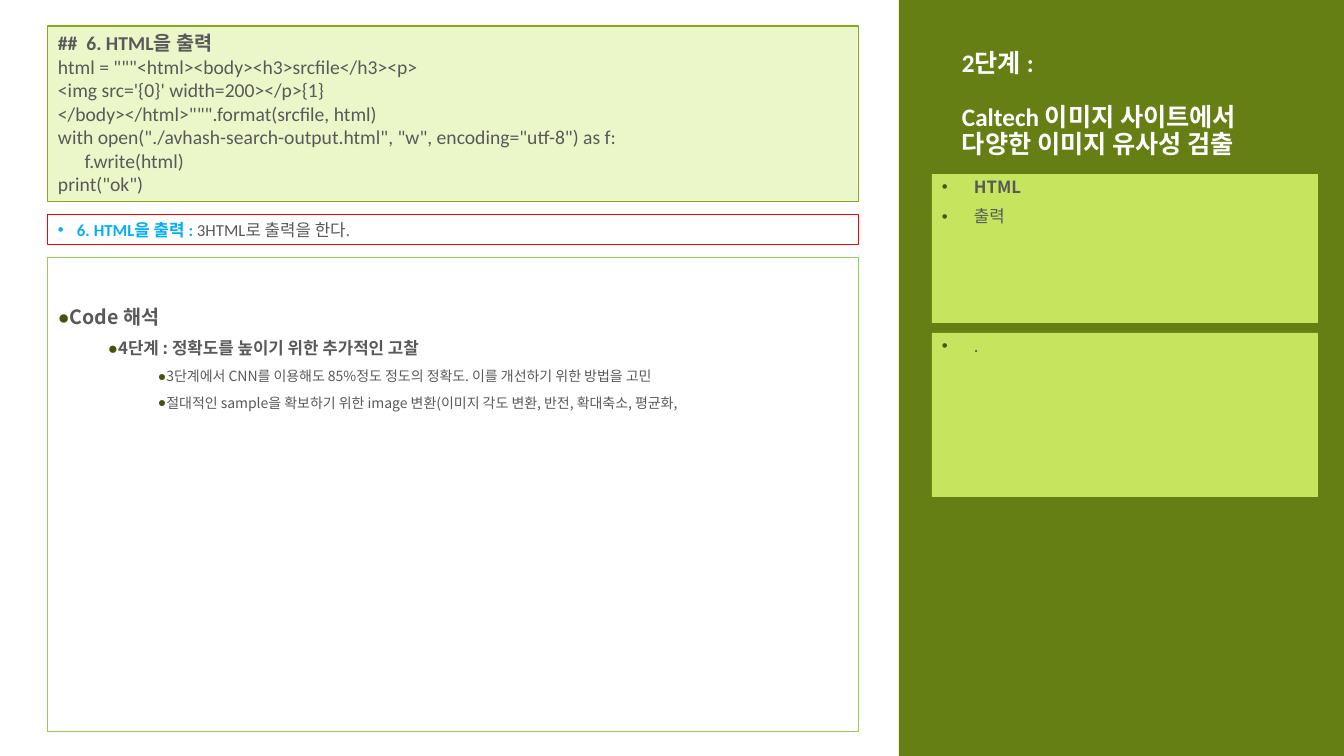
from dataclasses import dataclass

from lxml.etree import SubElement
from pptx import Presentation
from pptx.dml.color import RGBColor
from pptx.enum.shapes import MSO_SHAPE
from pptx.enum.text import MSO_ANCHOR, PP_ALIGN
from pptx.oxml.ns import qn
from pptx.util import Pt

EMU_PER_PX = 914400 / 100.8


@dataclass(frozen=True)
class Theme:
    olive: str = "657F14"
    lime: str = "C4E55D"
    pale: str = "EBF6C9"
    moss: str = "87A91B"
    green: str = "92D050"
    red: str = "FF0000"
    sky: str = "00B0F0"
    white: str = "FFFFFF"
    gray: str = "595959"
    bullet: str = "43540D"
    latin: str = "Calibri"
    korean: str = "Noto Sans CJK KR"
    title: int = 18
    heading: int = 14
    body: int = 12
    detail: int = 10


THEME = Theme()


def px(length):
    return round(length * EMU_PER_PX)


def set_all(target, values):
    for name, value in values.items():
        setattr(target, name, value)


def add_panel(page, place, fill=None, edge=None, top_inset=5, anchor=MSO_ANCHOR.TOP):
    panel = page.shapes.add_shape(MSO_SHAPE.RECTANGLE, *map(px, place))
    panel.shadow.inherit = False
    if fill:
        panel.fill.solid()
        panel.fill.fore_color.rgb = RGBColor.from_string(fill)
    else:
        panel.fill.background()
    if edge:
        panel.line.color.rgb = RGBColor.from_string(edge)
        panel.line.width = Pt(0.75)
    else:
        panel.line.fill.background()
    set_all(panel.text_frame, {
        "word_wrap": True, "vertical_anchor": anchor,
        "margin_left": px(10), "margin_right": px(10),
        "margin_top": px(top_inset), "margin_bottom": px(5),
    })
    return panel.text_frame


def add_bullet(para, symbol, color, left, hanging):
    properties = para._p.get_or_add_pPr()
    properties.set("marL", str(px(left)))
    properties.set("indent", str(px(-hanging)))
    tint = SubElement(properties, qn("a:buClr"))
    SubElement(tint, qn("a:srgbClr")).set("val", color)
    SubElement(properties, qn("a:buFont")).set("typeface", "Arial")
    SubElement(properties, qn("a:buChar")).set("char", symbol)


def add_para(frame, before=0, line=1.0, bullet=None):
    first = not frame.paragraphs[0].runs
    para = frame.paragraphs[0] if first else frame.add_paragraph()
    set_all(para, {
        "alignment": PP_ALIGN.LEFT, "line_spacing": line,
        "space_before": Pt(0 if first else before),
    })
    if bullet:
        add_bullet(para, *bullet)
    return para


def add_span(para, text, size, color=THEME.gray, font=THEME.latin, bold=False):
    span = para.add_run()
    span.text = text
    set_all(span.font, {"name": font, "size": Pt(size), "bold": bold})
    span.font.color.rgb = RGBColor.from_string(color)
    SubElement(span.font._element, qn("a:ea")).set("typeface", THEME.korean)


def add_title(page, place, lines):
    frame = add_panel(page, place, anchor=MSO_ANCHOR.BOTTOM)
    for text in lines:
        add_span(add_para(frame, 19, 0.9), text, THEME.title, THEME.white, bold=True)


def add_keywords(page, place, keywords):
    frame = add_panel(page, place, THEME.lime)
    for text, bold in keywords:
        para = add_para(frame, 8, 0.9, ("•", THEME.bullet, 32, 32))
        add_span(para, text, THEME.body, font=THEME.korean, bold=bold)


def add_code(page, place, heading, lines):
    frame = add_panel(page, place, THEME.pale, THEME.moss)
    add_span(add_para(frame), heading, THEME.heading, bold=True)
    for text in lines:
        add_span(add_para(frame), text, THEME.heading)


def add_summary(page, place, label, text):
    frame = add_panel(page, place, edge=THEME.red)
    para = add_para(frame, bullet=("•", THEME.sky, 19, 19))
    add_span(para, label, THEME.body, THEME.sky, bold=True)
    add_span(para, text, THEME.body)


def add_outline(page, place, entries):
    frame = add_panel(page, place, edge=THEME.green, top_inset=50)
    sizes = (THEME.heading, THEME.body, THEME.detail)
    for level, text in entries:
        para = add_para(frame, 8, 0.9, ("●", THEME.bullet, 50 * level, 0))
        add_span(para, text, sizes[level], font=THEME.korean, bold=level < 2)


def main():
    deck = Presentation()
    set_all(deck, {"slide_width": px(1344), "slide_height": px(756)})
    page = deck.slides.add_slide(deck.slide_layouts[6])
    add_panel(page, (899, 0, 445, 756), THEME.olive)
    add_title(page, (952, 35, 345, 129),
              ["2단계 :", "Caltech 이미지 사이트에서 다양한 이미지 유사성 검출"])
    add_keywords(page, (932, 174, 386, 149), [("HTML", True), ("출력", False)])
    add_keywords(page, (932, 333, 386, 164), [(".", False)])
    add_code(page, (48, 26, 811, 176), "##  6. HTML을 출력", [
        'html = """<html><body><h3>srcfile</h3><p>',
        "<img src='{0}' width=200></p>{1}",
        '</body></html>""".format(srcfile, html)',
        'with open("./avhash-search-output.html", "w", encoding="utf-8") as f:',
        "      f.write(html)",
        'print("ok")',
    ])
    add_outline(page, (48, 258, 811, 474), [
        (0, "Code 해석"),
        (1, "4단계 : 정확도를 높이기 위한 추가적인 고찰"),
        (2, "3단계에서 CNN를 이용해도 85%정도 정도의 정확도. 이를 개선하기 위한 방법을 고민"),
        (2, "절대적인 sample을 확보하기 위한 image 변환(이미지 각도 변환, 반전, 확대축소, 평균화,"),
    ])
    add_summary(page, (48, 215, 811, 30), "6. HTML을 출력 : ", "3HTML로 출력을 한다.")
    deck.save("out.pptx")


if __name__ == "__main__":
    main()
